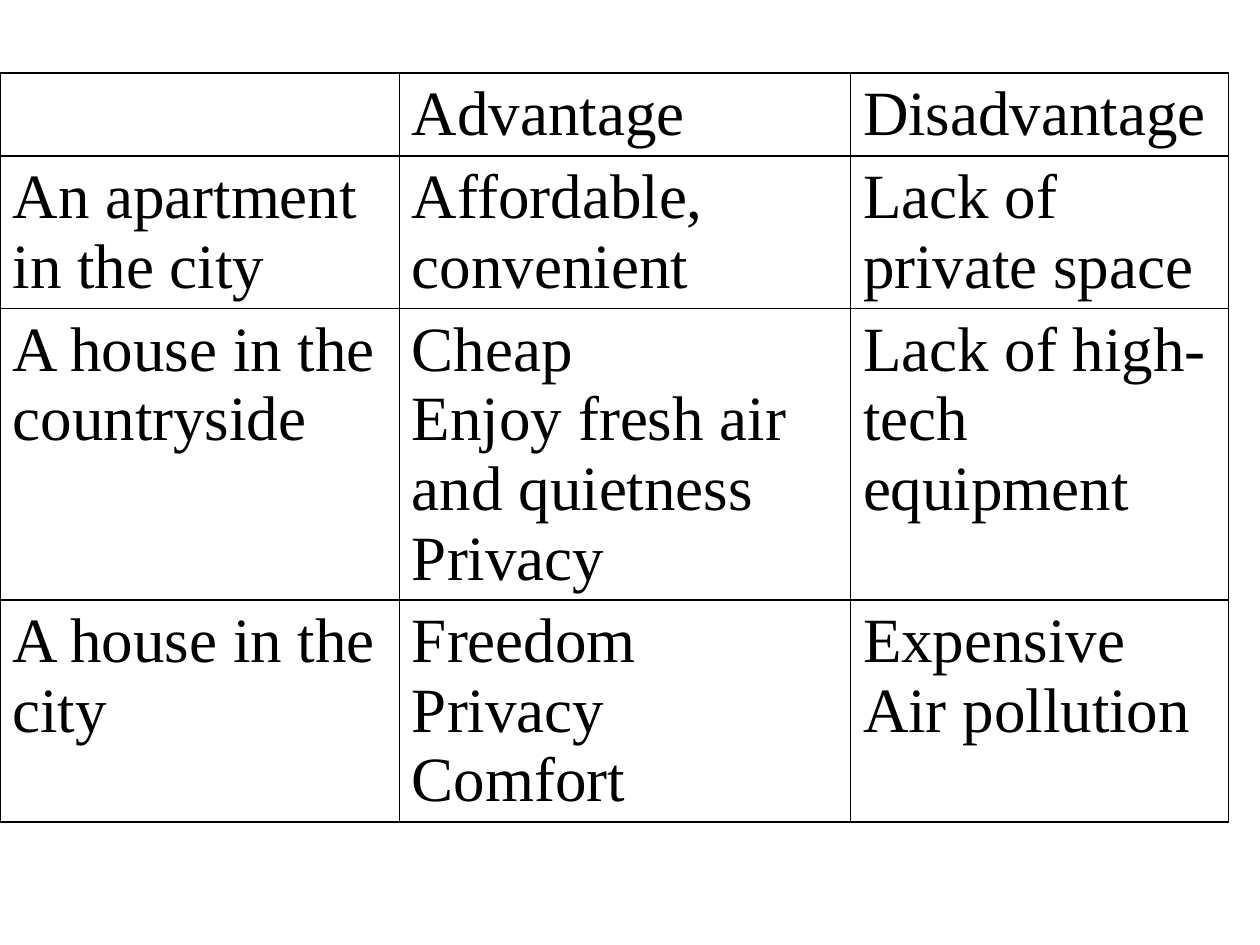
from dataclasses import dataclass

from lxml.etree import SubElement
from pptx import Presentation
from pptx.dml.color import RGBColor
from pptx.oxml.ns import qn
from pptx.slide import Slide
from pptx.table import _Cell
from pptx.util import Inches, Pt


@dataclass(frozen=True)
class Theme:
    font: str = "Times New Roman"
    size: int = 36
    ink: str = "000000"
    paper: str = "FFFFFF"
    border: int = 1


@dataclass(frozen=True)
class Row:
    height: float
    texts: tuple[str, str, str]


THEME = Theme()
COLUMN_WIDTHS = (3.17, 3.58, 3.0)
ROWS = (
    Row(0.66, ("", "Advantage", "Disadvantage")),
    Row(1.21, ("An apartment in the city", "Affordable, convenient",
               "Lack of private space")),
    Row(2.31, ("A house in the countryside",
               "Cheap\nEnjoy fresh air and quietness\nPrivacy",
               "Lack of high-tech equipment")),
    Row(1.76, ("A house in the city", "Freedom\nPrivacy\nComfort",
               "Expensive\nAir pollution")),
)


def add_borders(cell: _Cell) -> None:
    tcPr = cell._tc.get_or_add_tcPr()
    for side in ("a:lnL", "a:lnR", "a:lnT", "a:lnB"):
        ln = SubElement(tcPr, qn(side), w=str(Pt(THEME.border)))
        fill = SubElement(ln, qn("a:solidFill"))
        SubElement(fill, qn("a:srgbClr"), val=THEME.ink)


def fill_cell(cell: _Cell, text: str) -> None:
    add_borders(cell)
    cell.fill.solid()
    cell.fill.fore_color.rgb = RGBColor.from_string(THEME.paper)
    tf = cell.text_frame
    tf.text = text
    for p in tf.paragraphs:
        for r in p.runs:
            r.font.name = THEME.font
            r.font.size = Pt(THEME.size)
            r.font.bold = False
            r.font.color.rgb = RGBColor.from_string(THEME.ink)


def add_comparison(s: Slide) -> None:
    table = s.shapes.add_table(
        len(ROWS), len(COLUMN_WIDTHS), Inches(0), Inches(0.58),
        Inches(sum(COLUMN_WIDTHS)), Inches(sum(row.height for row in ROWS)),
    ).table
    table.first_row = False
    table.horz_banding = False
    for column, width in zip(table.columns, COLUMN_WIDTHS):
        column.width = Inches(width)
    for table_row, row in zip(table.rows, ROWS):
        table_row.height = Inches(row.height)
        for cell, text in zip(table_row.cells, row.texts):
            fill_cell(cell, text)


def main() -> None:
    prs = Presentation()
    prs.slide_width, prs.slide_height = Inches(10), Inches(7.5)
    s = prs.slides.add_slide(prs.slide_layouts[6])
    add_comparison(s)
    prs.save("out.pptx")


if __name__ == "__main__":
    main()
